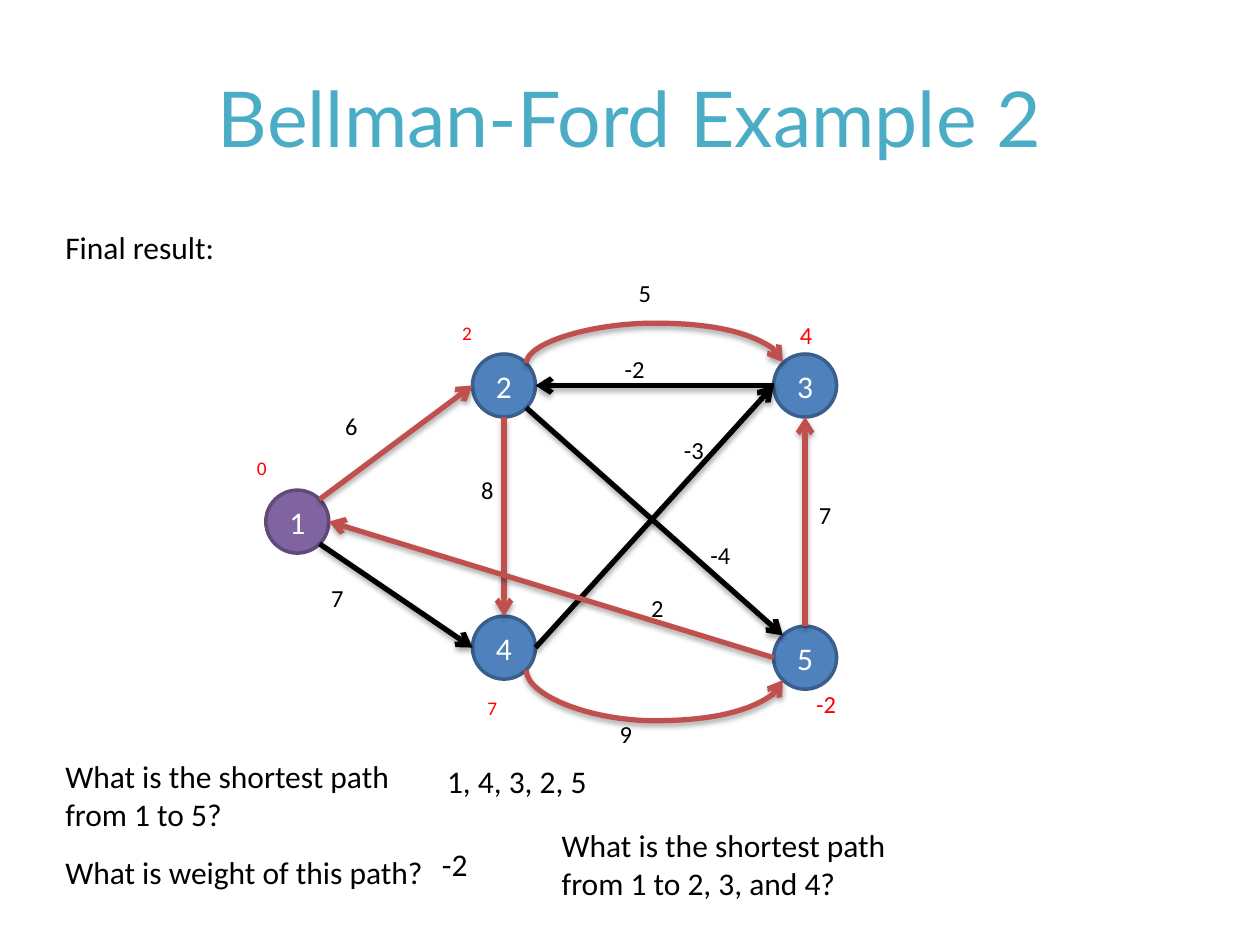
import math
from lxml import etree
from pptx import Presentation, util as u
from pptx.dml.color import RGBColor
from pptx.enum import shapes, text
from pptx.oxml.ns import qn

THEME = {
    "title_font": "Lato", "body_font": "Calibri",
    "title": "4BACC6", "ink": "000000", "distance": "FF0000", "on_node": "FFFFFF",
    "source": ("8064A2", "5F4A78"), "node": ("4F81BD", "3A5F8C"),
    "path": "C0504D", "edge": "000000",
    "title_size": 44, "body_size": 18, "label_size": 14, "small_size": 11,
    "node_line": 2, "edge_line": 3,
}

TITLE = "Bellman-Ford Example 2"
DIAMETER = 0.5
NODES = {
    "1": (2.36, 4.14, "source"),
    "2": (4.0, 3.06, "node"),
    "3": (6.39, 3.06, "node"),
    "4": (4.0, 5.14, "node"),
    "5": (6.39, 5.22, "node"),
}
SITES = {"right": 0, "bottom right": 45, "bottom": 90, "bottom left": 135,
         "left": 180, "top left": 225, "top": 270, "top right": 315}
STRAIGHT_EDGES = [
    ("1", "top right", "2", "left", "path"),
    ("2", "bottom", "4", "top", "path"),
    ("1", "bottom right", "4", "left", "edge"),
    ("3", "left", "2", "right", "edge"),
    ("4", "right", "3", "left", "edge"),
    ("5", "left", "1", "right", "path"),
    ("5", "top", "3", "bottom", "path"),
    ("2", "bottom right", "5", "top left", "edge"),
]
CURVED_EDGES = [
    ("4", "bottom right", "5", "bottom left", "path", 5.72),
    ("2", "top right", "3", "top left", "path", 2.56),
]
WEIGHTS = [
    ("6", 2.64, 3.21), ("7", 2.53, 4.58), ("8", 3.72, 3.72), ("5", 4.97, 2.16),
    ("9", 4.82, 5.66), ("7", 6.4, 3.92), ("-3", 5.33, 3.4), ("2", 5.07, 4.66),
    ("-4", 5.54, 4.24), ("-2", 4.86, 2.76),
]
DISTANCES = [
    ("0", 1.94, 3.57, "small_size"), ("2", 3.57, 2.5, "small_size"),
    ("4", 6.25, 2.49, "label_size"), ("7", 3.77, 5.48, "small_size"),
    ("-2", 6.38, 5.42, "label_size"),
]
STATEMENTS = [
    ("Final result:", 0.42, 1.76, 3.76, 0.4),
    ("What is the shortest path from 1 to 5?", 0.42, 5.96, 3.3, 0.71),
    ("What is weight of this path?", 0.42, 6.72, 3.3, 0.4),
    ("1, 4, 3, 2, 5", 3.45, 6, 3.3, 0.4),
    ("-2", 3.41, 6.66, 3.3, 0.4),
    ("What is the shortest path from 1 to 2, 3, and 4?", 4.36, 6.51, 3.3, 0.71),
]


def colour(name):
    return RGBColor.from_string(THEME.get(name, name))


def write(frame, words, size, ink, font="body_font", align=None):
    para = frame.paragraphs[0]
    para.alignment = align
    span = para.add_run()
    span.text = words
    span.font.name = THEME[font]
    span.font.size = u.Pt(THEME[size])
    span.font.color.rgb = colour(ink)


def add_text(page, words, left, top, width, height, size, ink):
    box = page.shapes.add_textbox(*map(u.Inches, (left, top, width, height)))
    box.text_frame.word_wrap = True
    box.text_frame.auto_size = text.MSO_AUTO_SIZE.SHAPE_TO_FIT_TEXT
    write(box.text_frame, words, size, ink)


def add_node(page, name, x, y, style):
    corner = (x - DIAMETER / 2, y - DIAMETER / 2, DIAMETER, DIAMETER)
    node = page.shapes.add_shape(shapes.MSO_SHAPE.OVAL, *map(u.Inches, corner))
    fill, line = THEME[style]
    node.shadow.inherit = False
    node.fill.solid()
    node.fill.fore_color.rgb = colour(fill)
    node.line.color.rgb = colour(line)
    node.line.width = u.Pt(THEME["node_line"])
    node.text_frame.vertical_anchor = text.MSO_ANCHOR.MIDDLE
    write(node.text_frame, name, "body_size", "on_node", align=text.PP_ALIGN.CENTER)


def site(name, side):
    x, y, _ = NODES[name]
    angle = math.radians(SITES[side])
    return x + DIAMETER / 2 * math.cos(angle), y + DIAMETER / 2 * math.sin(angle)


def add_arrow(page, kind, begin, end, ink):
    arrow = page.shapes.add_connector(kind, *map(u.Inches, (*begin, *end)))
    arrow.line.color.rgb = colour(ink)
    arrow.line.width = u.Pt(THEME["edge_line"])
    properties = arrow._element.spPr
    etree.SubElement(properties.find(qn("a:ln")), qn("a:tailEnd"), type="arrow")
    effects = etree.SubElement(properties, qn("a:effectLst"))
    shadow = etree.SubElement(effects, qn("a:outerShdw"), blurRad="40000",
                              dist="23000", dir="5400000", rotWithShape="0")
    tint = etree.SubElement(shadow, qn("a:srgbClr"), val="000000")
    etree.SubElement(tint, qn("a:alpha"), val="35000")
    return properties


def add_bow(page, begin, end, ink, crest):
    (x1, y1), (x2, y2) = begin, end
    run = x2 - x1
    rise = y2 - y1 if abs(y2 - y1) > 0.01 else -0.01
    middle_x, middle_y = x1 + run / 2, y1 + rise / 2
    properties = add_arrow(
        page, shapes.MSO_CONNECTOR.CURVE,
        (middle_x - rise / 2, middle_y + run / 2),
        (middle_x + rise / 2, middle_y - run / 2), ink)
    properties.find(qn("a:xfrm")).set("rot", "5400000")
    bend = round((crest - y1) / rise * 100000)
    adjustments = properties.find(qn("a:prstGeom")).find(qn("a:avLst"))
    etree.SubElement(adjustments, qn("a:gd"), name="adj1", fmla=f"val {bend}")


def main():
    deck = Presentation()
    deck.slide_width, deck.slide_height = u.Inches(10), u.Inches(7.5)
    page = deck.slides.add_slide(deck.slide_layouts[5])

    title = page.shapes.title
    title.left, title.top, title.width, title.height = map(u.Inches, (0.5, 0.3, 9, 1.25))
    title.text_frame.vertical_anchor = text.MSO_ANCHOR.MIDDLE
    write(title.text_frame, TITLE, "title_size", "title", "title_font", text.PP_ALIGN.CENTER)

    for name, (x, y, style) in NODES.items():
        add_node(page, name, x, y, style)
    for start, leaving, finish, entering, ink in STRAIGHT_EDGES:
        add_arrow(page, shapes.MSO_CONNECTOR.STRAIGHT,
                  site(start, leaving), site(finish, entering), ink)
    for start, leaving, finish, entering, ink, crest in CURVED_EDGES:
        add_bow(page, site(start, leaving), site(finish, entering), ink, crest)

    for words, left, top in WEIGHTS:
        add_text(page, words, left, top, 0.47, 0.34, "label_size", "ink")
    for words, left, top, size in DISTANCES:
        height = 0.29 if size == "small_size" else 0.34
        add_text(page, words, left, top, 0.4, height, size, "distance")
    for words, left, top, width, height in STATEMENTS:
        add_text(page, words, left, top, width, height, "body_size", "ink")

    deck.save("out.pptx")


if __name__ == "__main__":
    main()
